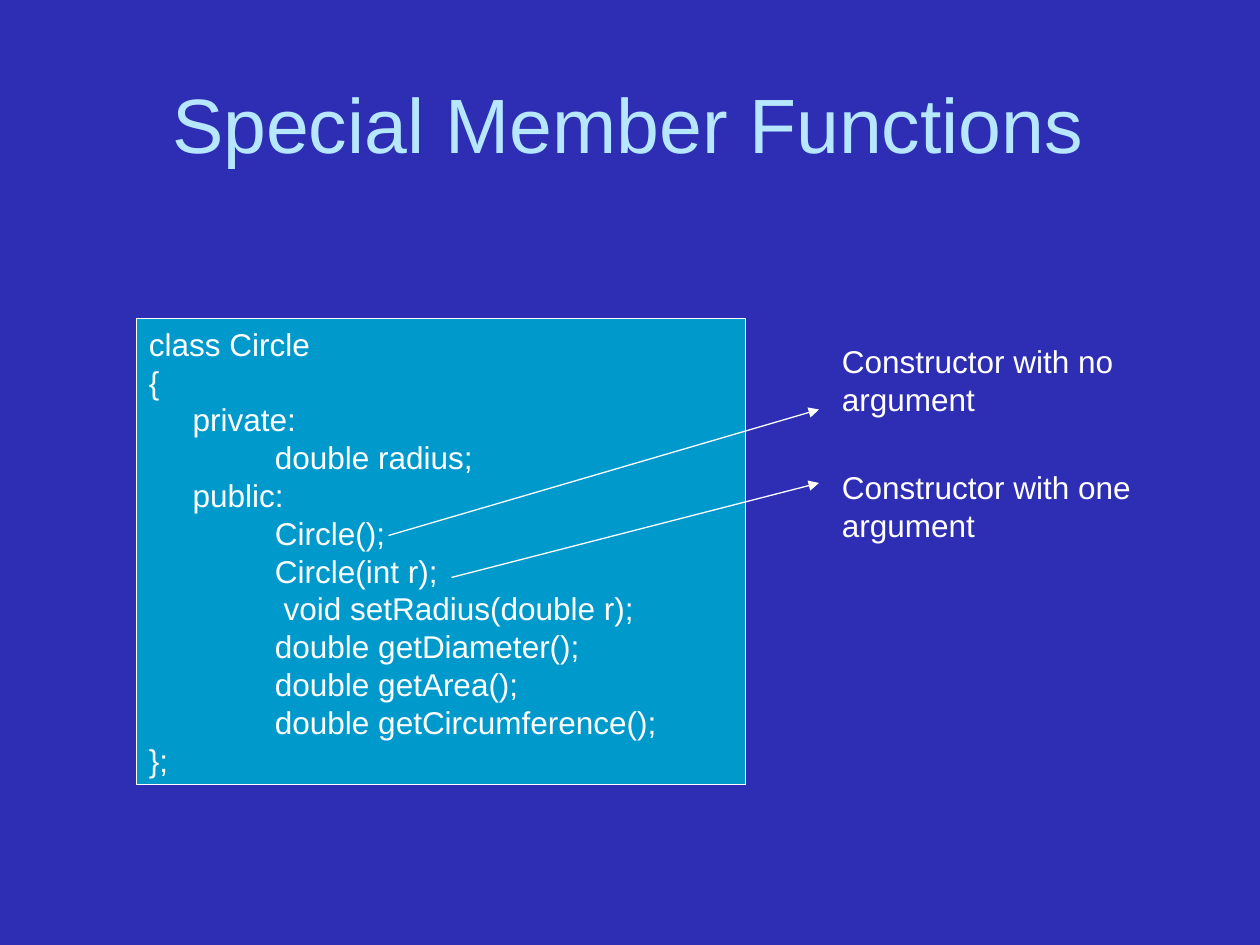
from pptx import Presentation
from pptx.dml.color import RGBColor as RGB
from pptx.enum.shapes import MSO_CONNECTOR as CONNECTOR, MSO_SHAPE as SHAPE
from pptx.enum.text import MSO_ANCHOR as ANCHOR, PP_ALIGN as ALIGN
from pptx.oxml.ns import qn
from pptx.util import Pt
from lxml.etree import SubElement

COLORS = {"background": "2E2EB4", "title": "B7E7FF", "code": "0099CC", "white": "FFFFFF"}
COLORS = {name: RGB.from_string(value) for name, value in COLORS.items()}
TITLE = {"name": "Arial", "size": Pt(44)}
BODY = {"name": "Arial", "size": Pt(18)}
CODE = """class Circle
{
     private:
\tdouble radius;
     public:
\tCircle();
\tCircle(int r);
\t void setRadius(double r);
\tdouble getDiameter();
\tdouble getArea();
\tdouble getCircumference();
};"""


def write_lines(shape, lines, font, color, anchor=ANCHOR.TOP, align=ALIGN.LEFT, spacing=None):
    frame = shape.text_frame
    frame.word_wrap = True
    frame.vertical_anchor = anchor
    for index, line in enumerate(lines):
        paragraph = frame.add_paragraph() if index else frame.paragraphs[0]
        paragraph.alignment = align
        paragraph.line_spacing = spacing
        if "\t" in line:
            tabs = SubElement(paragraph._p.get_or_add_pPr(), qn("a:tabLst"))
            SubElement(tabs, qn("a:tab"), pos=str(Pt(72)), algn="l")
        run = paragraph.add_run()
        run.text = line
        for name, value in font.items():
            setattr(run.font, name, value)
        run.font.color.rgb = COLORS[color]


presentation = Presentation()
presentation.slide_width, presentation.slide_height = Pt(720), Pt(540)
slide = presentation.slides.add_slide(presentation.slide_layouts[6])
slide.background.fill.solid()
slide.background.fill.fore_color.rgb = COLORS["background"]

# Title
title = slide.shapes.add_textbox(Pt(24), Pt(18), Pt(670), Pt(104.4))
write_lines(title, ["Special Member Functions"], TITLE, "title", ANCHOR.MIDDLE, ALIGN.CENTER)

# Class declaration
code = slide.shapes.add_shape(SHAPE.RECTANGLE, Pt(78), Pt(182), Pt(348), Pt(266.4))
code.shadow.inherit = False
code.fill.solid()
code.fill.fore_color.rgb = COLORS["code"]
code.line.color.rgb = COLORS["white"]
code.line.width = Pt(0.75)
write_lines(code, CODE.split("\n"), BODY, "white", ANCHOR.MIDDLE, spacing=Pt(21.6))

# Arrows from the constructors to their notes
for x1, y1, x2, y2 in [(222, 306, 468, 234), (258, 330, 468, 276)]:
    arrow = slide.shapes.add_connector(CONNECTOR.STRAIGHT, Pt(x1), Pt(y1), Pt(x2), Pt(y2))
    arrow.line.color.rgb = COLORS["white"]
    arrow.line.width = Pt(0.75)
    SubElement(arrow.line._get_or_add_ln(), qn("a:tailEnd"), type="triangle")
    SubElement(arrow._element.spPr, qn("a:effectLst"))

# Notes
for row, count in enumerate(["no", "one"]):
    note = slide.shapes.add_textbox(Pt(474), Pt(192 + 72 * row), Pt(199.5), Pt(50.4))
    write_lines(note, [f"Constructor with {count} argument"], BODY, "white", spacing=Pt(21.6))

presentation.save("out.pptx")
